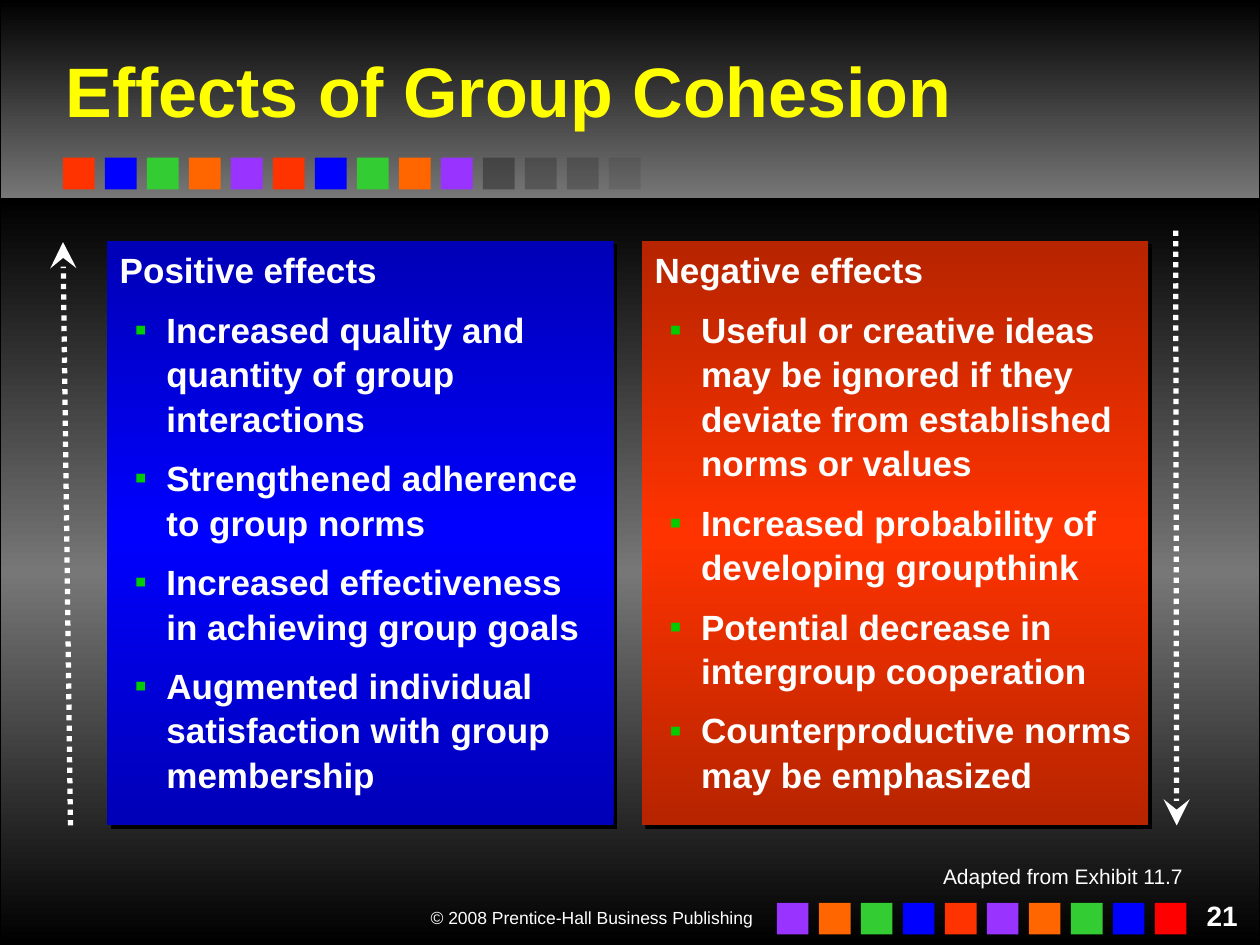
import dataclasses
import lxml.etree
import pptx
import pptx.dml.color
import pptx.enum.dml
import pptx.enum.shapes
import pptx.enum.text
import pptx.oxml.ns
import pptx.util

Cm = pptx.util.Cm
Pt = pptx.util.Pt
qn = pptx.oxml.ns.qn
ALIGN = pptx.enum.text.PP_ALIGN
ANCHOR = pptx.enum.text.MSO_ANCHOR

COLORS = {
    "black": "000000", "grey": "777777", "dim": "292929", "white": "FFFFFF",
    "yellow": "FFFF00", "red": "FF3300", "bright": "FF0000", "blue": "0000FF",
    "green": "33CC33", "orange": "FF6600", "purple": "9933FF", "bullet": "00CC00",
}
CYCLE = ["red", "blue", "green", "orange", "purple"]
FADES = [50, 35, 30, 15]
EDGE_SHADE = 46275

POSITIVE = [
    "Increased quality and quantity of group interactions",
    "Strengthened adherence to group norms",
    "Increased effectiveness in achieving group goals",
    "Augmented individual satisfaction with group membership",
]
NEGATIVE = [
    "Useful or creative ideas may be ignored if they deviate from established norms or values",
    "Increased probability of developing groupthink",
    "Potential decrease in intergroup cooperation",
    "Counterproductive norms may be emphasized",
]


def rgb(name):
    return pptx.dml.color.RGBColor.from_string(COLORS[name])


def sub(parent, tag, **attrs):
    return lxml.etree.SubElement(parent, qn(tag), {k: str(v) for k, v in attrs.items()})


def assign(obj, values):
    for name, value in values.items():
        setattr(obj, name, value)


@dataclasses.dataclass
class Deck:
    s: object
    font: str = "Arial"

    def gradient(self, sp, stops):
        sp.fill.gradient()
        sp.fill.gradient_angle = 270
        gs_list = sp._element.spPr.find(".//" + qn("a:gsLst"))
        for gs in list(gs_list):
            gs_list.remove(gs)
        for i, (color, shade) in enumerate(stops):
            gs = sub(gs_list, "a:gs", pos=100000 * i // (len(stops) - 1))
            clr = sub(gs, "a:srgbClr", val=COLORS[color])
            if shade:
                sub(clr, "a:shade", val=shade)

    def shadow(self, effects):
        sh = sub(effects, "a:outerShdw", dist=Pt(2.8), dir=2700000,
                 algn="ctr", rotWithShape=0)
        sub(sh, "a:srgbClr", val=COLORS["black"])

    def rect(self, x, y, w, h):
        sp = self.s.shapes.add_shape(pptx.enum.shapes.MSO_SHAPE.RECTANGLE,
                                     Cm(x), Cm(y), Cm(w), Cm(h))
        sp.shadow.inherit = False
        return sp

    def band(self, y, h, colors):
        sp = self.rect(0, y, 25.4, h)
        self.gradient(sp, [(c, None) for c in colors])
        sp.line.color.rgb = rgb("black")
        sp.line.width = Pt(0.75)

    def squares(self, x, y, colors, fades=()):
        cells = [(c, None) for c in colors] + [("dim", a) for a in fades]
        for i, (color, alpha) in enumerate(cells):
            sp = self.rect(x + i * 2.54 / 3, y, 0.64, 0.64)
            sp.fill.solid()
            sp.fill.fore_color.rgb = rgb(color)
            sp.line.fill.background()
            if alpha:
                clr = sp._element.spPr.find(".//" + qn("a:srgbClr"))
                sub(clr, "a:alpha", val=alpha * 1000)

    def text(self, p, text, size, color="white", bold=False):
        r = p.add_run()
        r.text = text
        assign(r.font, {"name": self.font, "size": Pt(size), "bold": bold})
        r.font.color.rgb = rgb(color)
        return r

    def label(self, x, y, w, h, text, size, bold=False):
        sp = self.s.shapes.add_textbox(Cm(x), Cm(y), Cm(w), Cm(h))
        sp.text_frame.word_wrap = True
        p = sp.text_frame.paragraphs[0]
        p.alignment = ALIGN.RIGHT
        self.text(p, text, size, bold=bold)
        return p

    def placeholder(self, idx, x, y, w, h, anchor):
        sp = self.s.placeholders[idx]
        assign(sp, {"left": Cm(x), "top": Cm(y), "width": Cm(w), "height": Cm(h)})
        assign(sp.text_frame, {"word_wrap": True, "vertical_anchor": anchor,
                               "auto_size": pptx.enum.text.MSO_AUTO_SIZE.NONE})
        self.s.shapes._spTree.append(sp._element)
        return sp

    def title(self, text):
        sp = self.placeholder(0, 1.07, 0.64, 23.93, 2.34, ANCHOR.MIDDLE)
        p = sp.text_frame.paragraphs[0]
        p.alignment = ALIGN.LEFT
        r = self.text(p, text, 40, "yellow", True)
        effects = lxml.etree.Element(qn("a:effectLst"))
        self.shadow(effects)
        r._r.rPr.find(qn("a:solidFill")).addnext(effects)

    def panel(self, idx, x, color, heading, items):
        sp = self.placeholder(idx, x, 4.85, 10.21, 11.79, ANCHOR.TOP)
        self.gradient(sp, [(color, EDGE_SHADE), (color, None), (color, EDGE_SHADE)])
        sp.shadow.inherit = False
        self.shadow(sp._element.spPr.find(qn("a:effectLst")))
        tf = sp.text_frame
        for i, text in enumerate([heading] + items):
            p = tf.add_paragraph() if i else tf.paragraphs[0]
            assign(p, {"level": 1 if i else 0, "alignment": ALIGN.LEFT,
                       "line_spacing": 1.05, "space_before": Pt(9 if i else 0)})
            pPr = p._p.get_or_add_pPr()
            pPr.set("marL", str(Cm(0.94 if i else 0)))
            pPr.set("indent", str(Cm(-0.64 if i else 0)))
            if i:
                sub(sub(pPr, "a:buClr"), "a:srgbClr", val=COLORS["bullet"])
                sub(pPr, "a:buFont", typeface=self.font)
                sub(pPr, "a:buChar", char="▪")
            else:
                sub(pPr, "a:buNone")
            self.text(p, text, 20, bold=True)

    def arrow(self, x1, y1, x2, y2):
        c = self.s.shapes.add_connector(pptx.enum.shapes.MSO_CONNECTOR.STRAIGHT,
                                        Cm(x1), Cm(y1), Cm(x2), Cm(y2))
        c.line.color.rgb = rgb("white")
        assign(c.line, {"width": Pt(3),
                        "dash_style": pptx.enum.dml.MSO_LINE.ROUND_DOT})
        spPr = c._element.spPr
        sub(spPr.find(qn("a:ln")), "a:tailEnd", type="stealth", w="lg", len="lg")
        sub(spPr, "a:effectLst")


def main():
    prs = pptx.Presentation()
    prs.slide_width, prs.slide_height = Cm(25.4), Cm(19.05)
    deck = Deck(prs.slides.add_slide(prs.slide_layouts[3]))

    deck.band(0, 4.01, ["black", "grey"])
    deck.band(4.01, 15.04, ["black", "grey", "black"])
    deck.label(7.42, 18.16, 8, 0.69, "© 2008 Prentice-Hall Business Publishing", 10)
    deck.squares(1.27, 3.18, CYCLE * 2, FADES)
    deck.squares(15.66, 18.2, (CYCLE * 2)[:0:-1] + ["bright"])
    deck.label(23.93, 17.98, 1.27, 0.43, "21", 16, bold=True)
    deck.panel(1, 2.16, "blue", "Positive effects", POSITIVE)
    deck.panel(2, 12.94, "red", "Negative effects", NEGATIVE)
    deck.arrow(1.42, 16.64, 1.27, 4.88)
    deck.arrow(23.7, 4.65, 23.72, 16.64)
    deck.label(17.98, 17.35, 6.12, 0.71, "Adapted from Exhibit 11.7", 12).line_spacing = 0.9
    deck.title("Effects of Group Cohesion")

    prs.save("out.pptx")


if __name__ == "__main__":
    main()
